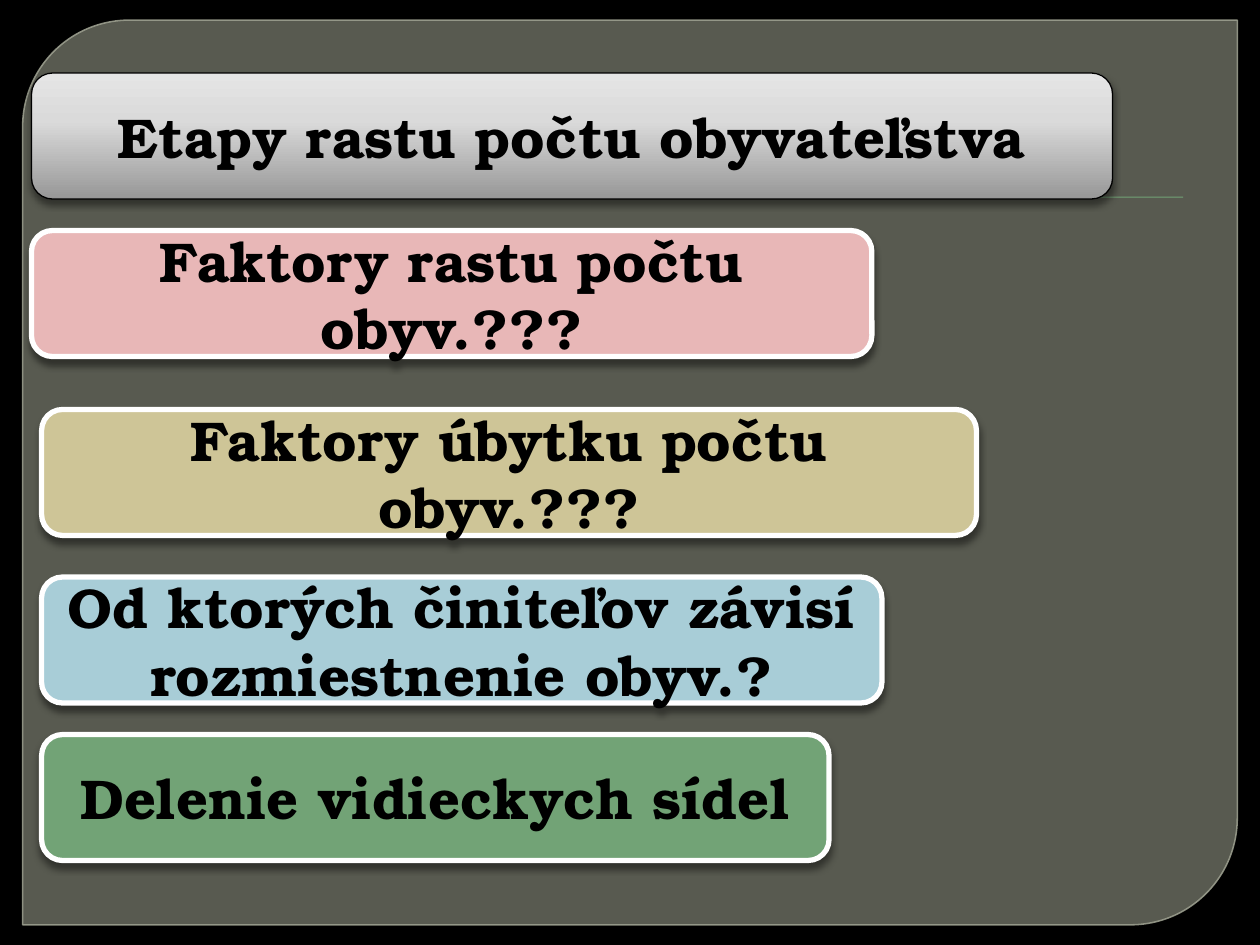
from copy import deepcopy
from dataclasses import dataclass
from typing import Optional

from lxml.etree import SubElement
from pptx import Presentation
from pptx.dml.color import RGBColor
from pptx.dml.fill import FillFormat
from pptx.enum.shapes import MSO_SHAPE
from pptx.enum.text import MSO_ANCHOR, PP_ALIGN
from pptx.oxml.ns import qn
from pptx.shapes.autoshape import Shape
from pptx.slide import Slide
from pptx.util import Inches, Pt

BLACK = RGBColor(0x00, 0x00, 0x00)
WHITE = RGBColor(0xFF, 0xFF, 0xFF)
PANEL_FILL = RGBColor(0x88, 0x8B, 0x7B)
PANEL_LINE = RGBColor(0x9D, 0xA0, 0x90)
GREEN = RGBColor(0x72, 0xA3, 0x76)
PINK = RGBColor(0xE8, 0xB7, 0xB7)
SAND = RGBColor(0xCE, 0xC5, 0x97)
BLUE = RGBColor(0xA8, 0xCD, 0xD7)
SILVER_STOPS = (
    (0.0, RGBColor(0x97, 0x97, 0x97)),
    (0.62, RGBColor(0xDA, 0xDA, 0xDA)),
    (1.0, RGBColor(0xE5, 0xE5, 0xE5)),
)
FONT = "TeX Gyre Bonum"


@dataclass(frozen=True)
class Topic:
    text: str
    left: float
    top: float
    width: float
    color: Optional[RGBColor] = None  # None gives the silver heading style


TOPICS = (
    Topic("Etapy rastu počtu obyvateľstva", 0.25, 0.58, 8.58),
    Topic("Faktory rastu počtu obyv.???", 0.25, 1.83, 6.67, PINK),
    Topic("Faktory úbytku počtu obyv.???", 0.33, 3.25, 7.42, SAND),
    Topic("Od ktorých činiteľov závisí rozmiestnenie obyv.?", 0.33, 4.58, 6.67, BLUE),
    Topic("Delenie vidieckych sídel", 0.33, 5.83, 6.25, GREEN),
)


def add_plain_shape(slide: Slide, kind: MSO_SHAPE, left: float, top: float,
                    width: float, height: float) -> Shape:
    shape = slide.shapes.add_shape(
        kind, Inches(left), Inches(top), Inches(width), Inches(height))
    shape.shadow.inherit = False
    return shape


def set_solid(fill: FillFormat, color: RGBColor, opacity: int = 100) -> None:
    fill.solid()
    fill.fore_color.rgb = color
    if opacity < 100:
        color_element = fill._xPr.find(".//" + qn("a:srgbClr"))
        SubElement(color_element, qn("a:alpha"), val=str(opacity * 1000))


def set_silver(shape: Shape) -> None:
    """Fill with the three-stop gradient, darkest at the bottom."""
    shape.fill.gradient()
    stop_list = shape._element.spPr.find(".//" + qn("a:gsLst"))
    stop_list.append(deepcopy(stop_list[-1]))
    for stop, (position, color) in zip(shape.fill.gradient_stops, SILVER_STOPS):
        stop.position = position
        stop.color.rgb = color
    shape.fill.gradient_angle = 90


def add_shadow(shape: Shape, opacity: int, blur: float, distance: float) -> None:
    """Add a black shadow that falls straight down."""
    effects = shape._element.spPr.find(qn("a:effectLst"))
    shadow = SubElement(
        effects, qn("a:outerShdw"), blurRad=str(Pt(blur)), dist=str(Pt(distance)),
        dir=str(90 * 60000), algn="ctr", rotWithShape="0")
    color = SubElement(shadow, qn("a:srgbClr"), val=str(BLACK))
    SubElement(color, qn("a:alpha"), val=str(opacity * 1000))


def add_backdrop(slide: Slide) -> None:
    set_solid(slide.background.fill, BLACK)
    panel = add_plain_shape(
        slide, MSO_SHAPE.ROUND_2_DIAG_RECTANGLE, 0.18, 0.16, 9.64, 7.18)
    panel.adjustments[0] = 0.118
    panel.adjustments[1] = 0
    set_solid(panel.fill, PANEL_FILL, 65)
    set_solid(panel.line.fill, PANEL_LINE, 88)
    panel.line.width = Pt(0.87)

    rule = add_plain_shape(slide, MSO_SHAPE.RECTANGLE, 0.64, 1.56, 8.75, 0.01)
    set_solid(rule.fill, GREEN)
    rule.line.fill.background()
    add_shadow(rule, 75, 1, 1)


def add_topic(slide: Slide, topic: Topic) -> None:
    box = add_plain_shape(
        slide, MSO_SHAPE.ROUNDED_RECTANGLE, topic.left, topic.top, topic.width, 1)
    if topic.color is None:
        set_silver(box)
        box.line.color.rgb = BLACK
        box.line.width = Pt(0.75)
    else:
        set_solid(box.fill, topic.color)
        box.line.color.rgb = WHITE
        box.line.width = Pt(3)
    add_shadow(box, 43, 4, 3)

    frame = box.text_frame
    frame.text = topic.text
    frame.word_wrap = True
    frame.vertical_anchor = MSO_ANCHOR.MIDDLE
    paragraph = frame.paragraphs[0]
    paragraph.alignment = PP_ALIGN.CENTER
    font = paragraph.runs[0].font
    font.name = FONT
    font.size = Pt(32)
    font.bold = True
    font.color.rgb = BLACK


def main() -> None:
    presentation = Presentation()
    presentation.slide_width = Inches(10)
    presentation.slide_height = Inches(7.5)
    slide = presentation.slides.add_slide(presentation.slide_layouts[6])
    add_backdrop(slide)
    for topic in TOPICS:
        add_topic(slide, topic)
    presentation.save("out.pptx")


if __name__ == "__main__":
    main()
